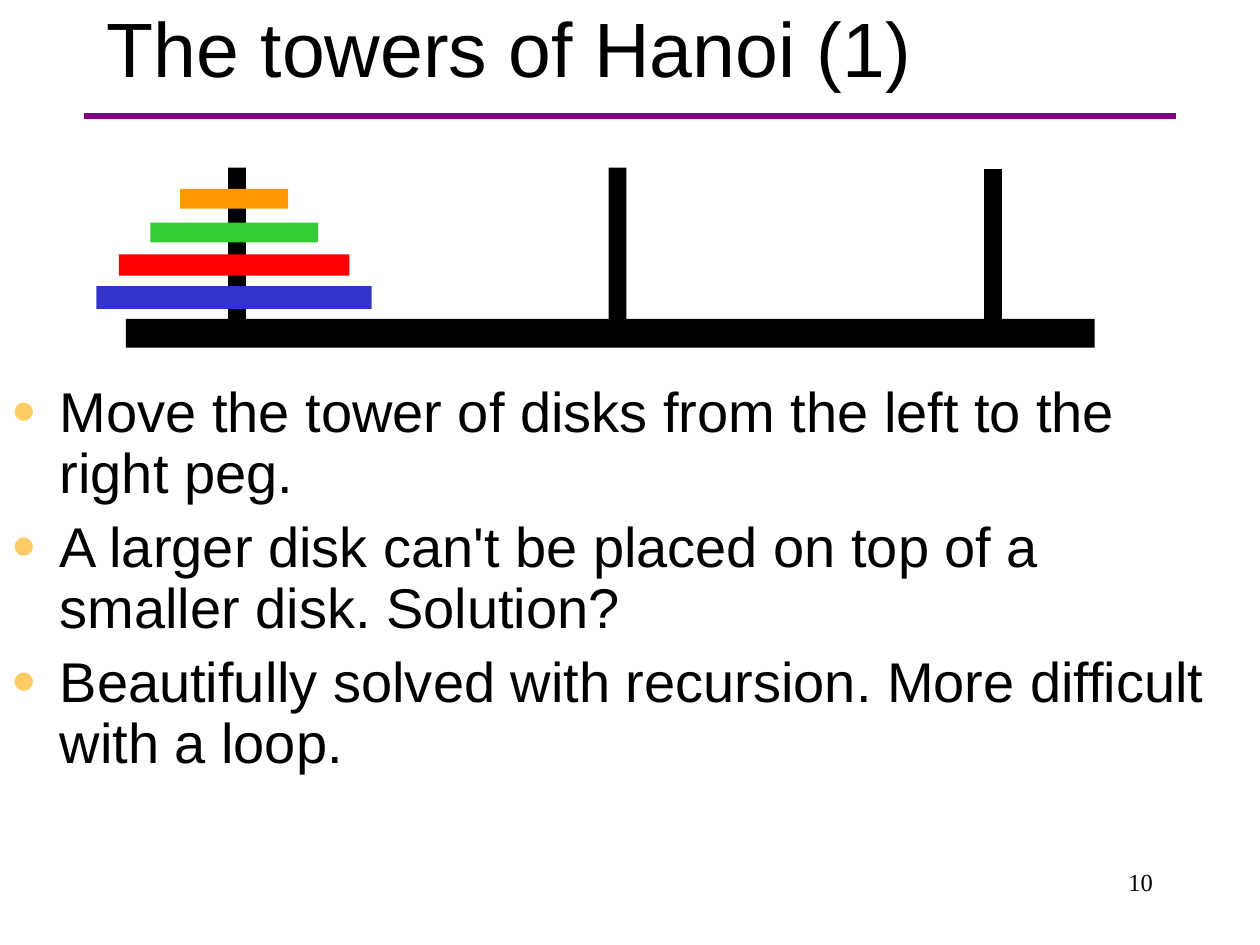
from lxml.etree import SubElement
from pptx import Presentation
from pptx.dml.color import RGBColor
from pptx.enum.shapes import MSO_CONNECTOR, MSO_SHAPE
from pptx.enum.text import MSO_ANCHOR, MSO_AUTO_SIZE, PP_ALIGN
from pptx.oxml.ns import qn
from pptx.util import Cm, Pt

HUES = {
    "black": "000000", "rule": "800080", "dot": "FFCC66", "blue": "3333CC",
    "red": "FF0000", "green": "33CC33", "orange": "FF9900",
}


def add_run(para, text, size, face="Arial"):
    run = para.add_run()
    run.text = text
    run.font.size = Pt(size)
    run.font.name = face
    run.font.color.rgb = RGBColor.from_string(HUES["black"])


def add_bar(left, top, width, height, hue):
    bar = slide.shapes.add_shape(
        MSO_SHAPE.RECTANGLE, Cm(left), Cm(top), Cm(width), Cm(height))
    bar.shadow.inherit = False
    bar.fill.solid()
    bar.fill.fore_color.rgb = RGBColor.from_string(HUES[hue])
    bar.line.fill.background()


deck = Presentation()
deck.slide_width, deck.slide_height = Cm(25.4), Cm(19.05)
slide = deck.slides.add_slide(deck.slide_layouts[1])

rule = slide.shapes.add_connector(
    MSO_CONNECTOR.STRAIGHT, Cm(1.7), Cm(2.34), Cm(23.7), Cm(2.34))
rule.line.color.rgb = RGBColor.from_string(HUES["rule"])
rule.line.width = Pt(3)
SubElement(rule._element.spPr, qn("a:effectLst"))

title = slide.shapes.title
title.left, title.top = Cm(1.9), Cm(-0.64)
title.width, title.height = Cm(21.6), Cm(3.18)
frame = title.text_frame
frame.auto_size = MSO_AUTO_SIZE.NONE
frame.vertical_anchor = MSO_ANCHOR.MIDDLE
para = frame.paragraphs[0]
para.alignment = PP_ALIGN.LEFT
add_run(para, "The towers of Hanoi (1)", 44)

body = slide.placeholders[1]
body.left, body.top = Cm(0), Cm(7.62)
body.width, body.height = Cm(24.61), Cm(8.84)
frame = body.text_frame
frame.auto_size = MSO_AUTO_SIZE.NONE
points = [
    "Move the tower of disks from the left to the right peg.",
    "A larger disk can't be placed on top of a smaller disk. Solution?",
    "Beautifully solved with recursion. More difficult with a loop.",
]
for i, text in enumerate(points):
    para = frame.add_paragraph() if i else frame.paragraphs[0]
    para.line_spacing = 0.9
    para.space_before = Pt(8)
    add_run(para, text, 32)
    props = para._p.get_or_add_pPr()
    props.set("marL", str(Cm(0.95)))
    props.set("indent", str(Cm(-0.95)))
    tint = SubElement(props, qn("a:buClr"))
    SubElement(tint, qn("a:srgbClr"), val=HUES["dot"])
    SubElement(props, qn("a:buSzPct"), val="120000")
    SubElement(props, qn("a:buFont"), typeface="Arial")
    SubElement(props, qn("a:buChar"), char="•")

add_bar(2.54, 6.43, 19.53, 0.58, "black")
for left, top in [(4.6, 3.38), (12.27, 3.38), (19.84, 3.41)]:
    add_bar(left, top, 0.36, 3.12, "black")

mid = 4.72
disks = [
    (5.77, 5.55, 0.46, "blue"), (5.13, 4.65, 0.43, "red"),
    (4.49, 3.38, 0.4, "green"), (3.81, 2.18, 0.4, "orange"),
]
for top, width, height, hue in disks:
    add_bar(mid - width / 2, top, width, height, hue)

box = slide.shapes.add_textbox(Cm(18.21), Cm(17.35), Cm(5.28), Cm(1.27))
box.text_frame.word_wrap = True
para = box.text_frame.paragraphs[0]
para.alignment = PP_ALIGN.RIGHT
add_run(para, "10", 14, "Times New Roman")

deck.save("out.pptx")
